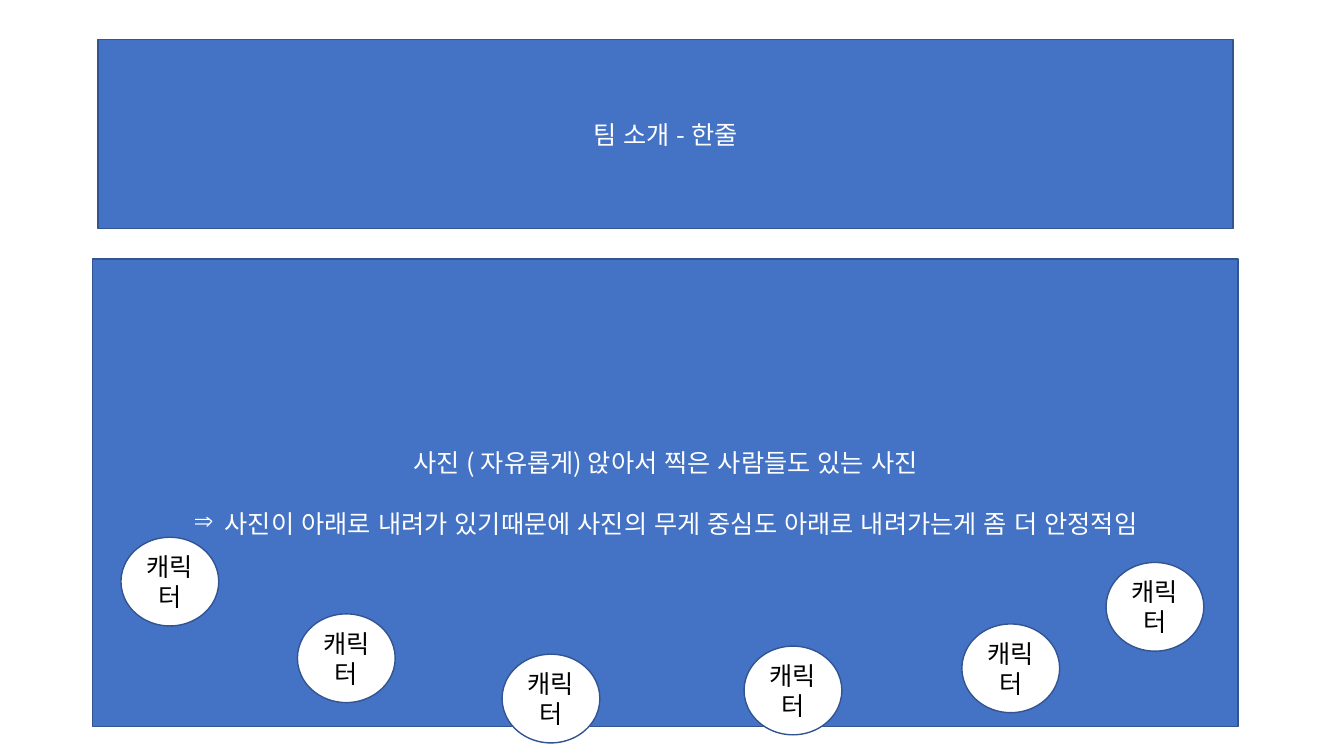
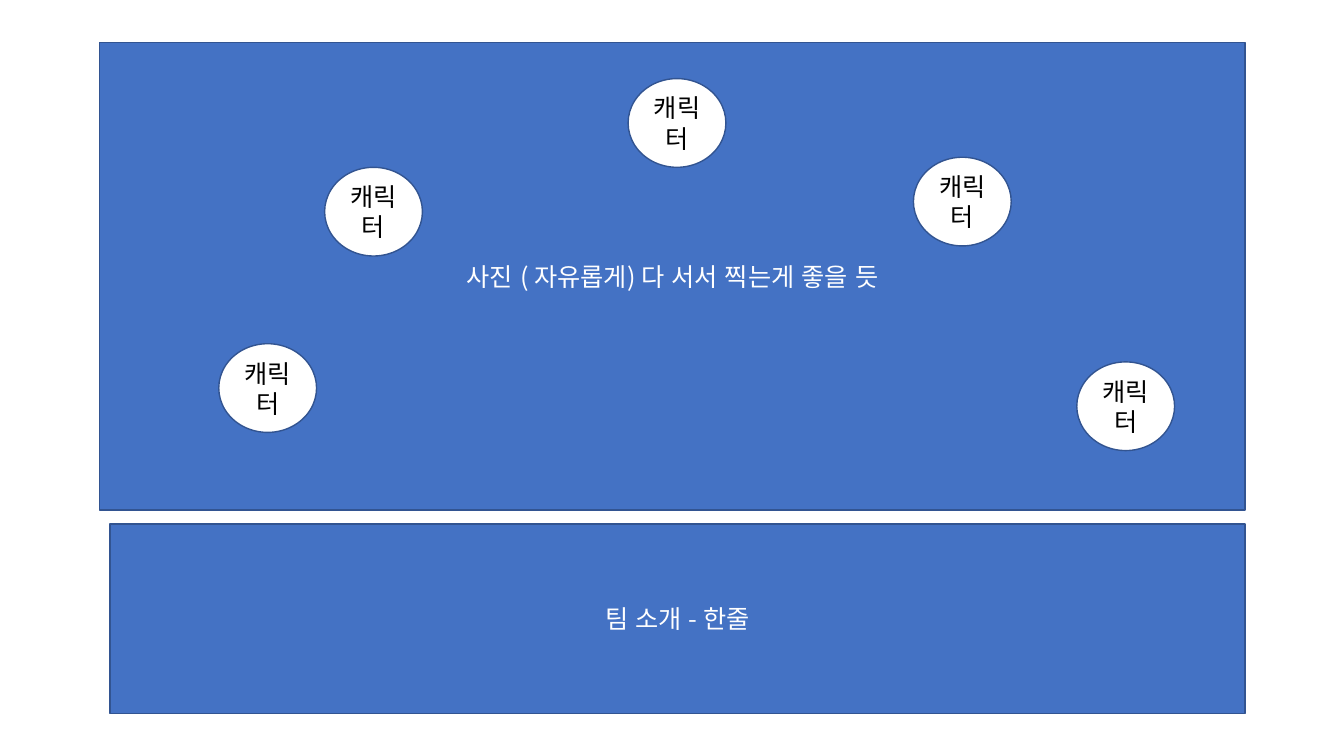
from lxml.etree import SubElement
from pptx import Presentation
from pptx.dml.color import RGBColor
from pptx.enum.lang import MSO_LANGUAGE_ID as Language
from pptx.enum.shapes import MSO_SHAPE as Shape
from pptx.enum.text import MSO_ANCHOR as Anchor, MSO_AUTO_SIZE as AutoSize, PP_ALIGN as Align
from pptx.oxml.ns import qn
from pptx.util import Pt

PX = 9144  # 100 px to the inch
SLIDE_SIZE = (1333, 750)
TITLE_ONLY = 5

BLUE = RGBColor(0x44, 0x72, 0xC4)
NAVY = RGBColor(0x32, 0x54, 0x91)
WHITE = RGBColor(0xFF, 0xFF, 0xFF)
BLACK = RGBColor(0x00, 0x00, 0x00)
FONT = "Noto Sans CJK KR"

INTRO_SIZE = (1126, 188)
PHOTO_SIZE = (1136, 464)
CHARACTER_SIZE = (97, 88)
BULLET_INDENT = 31
NOTE_GAP = Pt(21.5)


def place(shape, left, top, size):
    shape.left, shape.top = left * PX, top * PX
    shape.width, shape.height = (length * PX for length in size)


def style_shape(shape, fill):
    shape.fill.solid()
    shape.fill.fore_color.rgb = fill
    shape.line.color.rgb = NAVY
    shape.line.width = Pt(1)
    frame = shape.text_frame
    frame.word_wrap = True
    frame.auto_size = AutoSize.NONE
    frame.vertical_anchor = Anchor.MIDDLE


def write(paragraph, text, color):
    paragraph.alignment = Align.CENTER
    run = paragraph.add_run()
    run.text = text
    font = run.font
    font.name, font.size, font.color.rgb = FONT, Pt(18), color
    font.language_id = Language.KOREAN
    # East Asian letters need the typeface as well
    SubElement(run._r.get_or_add_rPr(), qn("a:ea"), typeface=FONT)


def add_labelled_shape(slide, kind, left, top, size, fill, text, color):
    shape = slide.shapes.add_shape(kind, 0, 0, 0, 0)
    place(shape, left, top, size)
    shape.shadow.inherit = False
    style_shape(shape, fill)
    write(shape.text_frame.paragraphs[0], text, color)
    return shape


def add_arrow_note(frame, text):
    paragraph = frame.add_paragraph()
    paragraph.space_before = NOTE_GAP
    write(paragraph, text, WHITE)
    properties = paragraph._p.get_or_add_pPr()
    properties.set("marL", str(BULLET_INDENT * PX))
    properties.set("indent", str(-BULLET_INDENT * PX))
    SubElement(properties, qn("a:buChar"), char="⇒")


def add_intro(slide, left, top):
    """Band with the one-line team introduction, the title of the slide."""
    title = slide.shapes.title
    place(title, left, top, INTRO_SIZE)
    style_shape(title, BLUE)
    write(title.text_frame.paragraphs[0], "팀 소개 - 한줄", WHITE)


def add_photo(slide, left, top, caption, characters, note=None):
    """Photo area with characters at offsets from its top left corner."""
    photo = add_labelled_shape(slide, Shape.RECTANGLE, left, top, PHOTO_SIZE,
                               BLUE, caption, WHITE)
    if note:
        add_arrow_note(photo.text_frame, note)
    for x, y in characters:
        add_labelled_shape(slide, Shape.OVAL, left + x, top + y, CHARACTER_SIZE,
                           WHITE, "캐릭터", BLACK)


def add_team_slide(presentation, intro_at, photo_at, **photo):
    slide = presentation.slides.add_slide(presentation.slide_layouts[TITLE_ONLY])
    add_intro(slide, *intro_at)
    add_photo(slide, *photo_at, **photo)


def main():
    presentation = Presentation()
    presentation.slide_width, presentation.slide_height = (
        length * PX for length in SLIDE_SIZE)

    # Introduction above, characters in an arc along the bottom
    add_team_slide(
        presentation, (97, 39), (92, 257),
        caption="사진 ( 자유롭게) 앉아서 찍은 사람들도 있는 사진",
        note="사진이 아래로 내려가 있기때문에 사진의 무게 중심도 아래로 내려가는게 좀 더 안정적임",
        characters=[(28, 276), (203, 352), (406, 392),
                    (646, 384), (862, 362), (1005, 301)])

    # Introduction below, characters in an arc over the caption
    add_team_slide(
        presentation, (109, 520), (99, 42),
        caption="사진 ( 자유롭게) 다 서서 찍는게 좋을 듯",
        characters=[(118, 299), (223, 124), (524, 36), (807, 114), (969, 317)])

    presentation.save("out.pptx")


if __name__ == "__main__":
    main()
